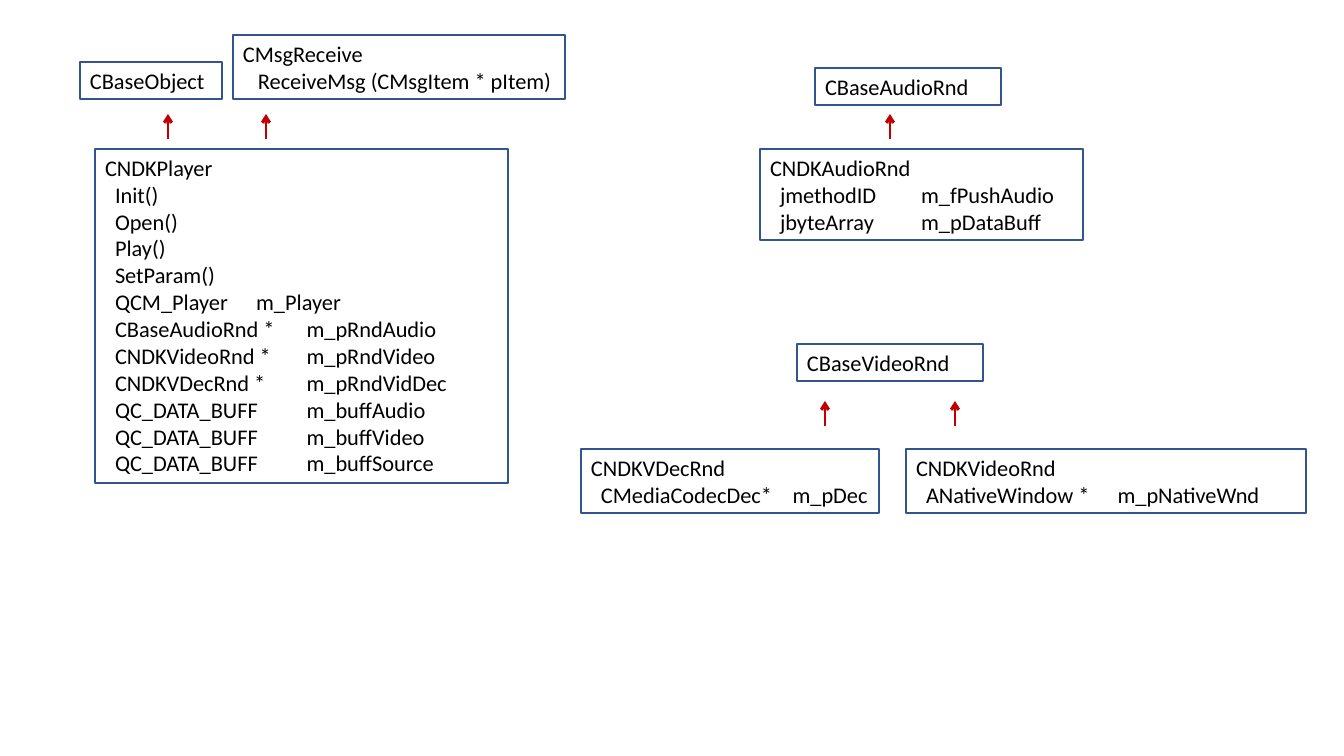
from pptx import Presentation, util as u
from pptx.dml.color import RGBColor
from pptx.enum import shapes, text
from pptx.oxml.ns import qn
from lxml import etree

BLUE = RGBColor(0x32, 0x54, 0x91)
RED = RGBColor(0xC0, 0x00, 0x00)
BLACK = RGBColor(0, 0, 0)
PX = 914400 / 100.8


def px(length):
    return u.Emu(round(length * PX))


class ClassDiagram:
    row_height = 27
    pad_x, pad_y = 10, 5
    frame_format = {
        "word_wrap": True,
        "auto_size": text.MSO_AUTO_SIZE.SHAPE_TO_FIT_TEXT,
        "vertical_anchor": text.MSO_ANCHOR.TOP,
        "margin_left": px(pad_x),
        "margin_right": px(pad_x),
        "margin_top": px(pad_y),
        "margin_bottom": px(pad_y),
    }
    font_format = {"name": "Calibri", "size": u.Pt(16)}

    def __init__(self, page):
        self.page = page

    def apply(self, target, formats):
        for name, value in formats.items():
            setattr(target, name, value)

    def line(self, para, words, indent=0, stop=None):
        span = para.add_run()
        span.text = words
        self.apply(span.font, self.font_format)
        span.font.color.rgb = BLACK
        props = para._p.get_or_add_pPr()
        props.set("marL", "0")
        props.set("indent", str(px(indent)))
        if stop:
            tabs = etree.SubElement(props, qn("a:tabLst"))
            etree.SubElement(tabs, qn("a:tab"), pos=str(px(stop)), algn="l")

    def class_box(self, left, top, width, title, members=(), indent=10):
        height = 2 * self.pad_y + self.row_height * (1 + len(members))
        box = self.page.shapes.add_textbox(px(left), px(top), px(width), px(height))
        box.line.color.rgb = BLUE
        box.line.width = u.Pt(1)
        frame = box.text_frame
        self.apply(frame, self.frame_format)
        self.line(frame.paragraphs[0], title)
        for kind, field, stop in members:
            words = f"{kind}\t{field}" if field else kind
            self.line(frame.add_paragraph(), words, indent, stop)

    def arrow_up(self, x, bottom, length=25):
        arrow = self.page.shapes.add_connector(
            shapes.MSO_CONNECTOR.STRAIGHT, px(x), px(bottom), px(x), px(bottom - length))
        arrow.line.color.rgb = RED
        arrow.line.width = u.Pt(2)
        etree.SubElement(arrow.line._get_or_add_ln(), qn("a:tailEnd"), type="arrow")
        etree.SubElement(arrow._element.spPr, qn("a:effectLst"))


PLAYER_MEMBERS = [(f"{method}()", None, None) for method in ("Init", "Open", "Play", "SetParam")] + [
    ("QCM_Player", "m_Player", 172),
    ("CBaseAudioRnd *", "m_pRndAudio", 194),
    ("CNDKVideoRnd *", "m_pRndVideo", 195),
    ("CNDKVDecRnd *", "m_pRndVidDec", 195),
] + [("QC_DATA_BUFF", f"m_buff{use}", 192) for use in ("Audio", "Video", "Source")]


def main():
    deck = Presentation()
    deck.slide_width, deck.slide_height = px(1344), px(756)
    diagram = ClassDiagram(deck.slides.add_slide(deck.slide_layouts[6]))

    diagram.class_box(95, 149, 413, "CNDKPlayer", PLAYER_MEMBERS)
    diagram.class_box(80, 62, 142, "CBaseObject")
    diagram.class_box(233, 35, 332, "CMsgReceive",
                      [("ReceiveMsg (CMsgItem * pItem)", None, None)], indent=15)
    diagram.class_box(815, 68, 186, "CBaseAudioRnd")
    diagram.class_box(760, 149, 323, "CNDKAudioRnd", [
        ("jmethodID", "m_fPushAudio", 161),
        ("jbyteArray", "m_pDataBuff", 154),
    ])
    diagram.class_box(797, 344, 186, "CBaseVideoRnd")
    diagram.class_box(581, 449, 298, "CNDKVDecRnd", [("CMediaCodecDec*", "m_pDec", 201)])
    diagram.class_box(906, 449, 400, "CNDKVideoRnd", [("ANativeWindow *", "m_pNativeWnd", 228)])

    for bottom, columns in ((139, (168, 266, 890)), (426, (825, 955))):
        for x in columns:
            diagram.arrow_up(x, bottom)

    deck.save("out.pptx")


if __name__ == "__main__":
    main()
